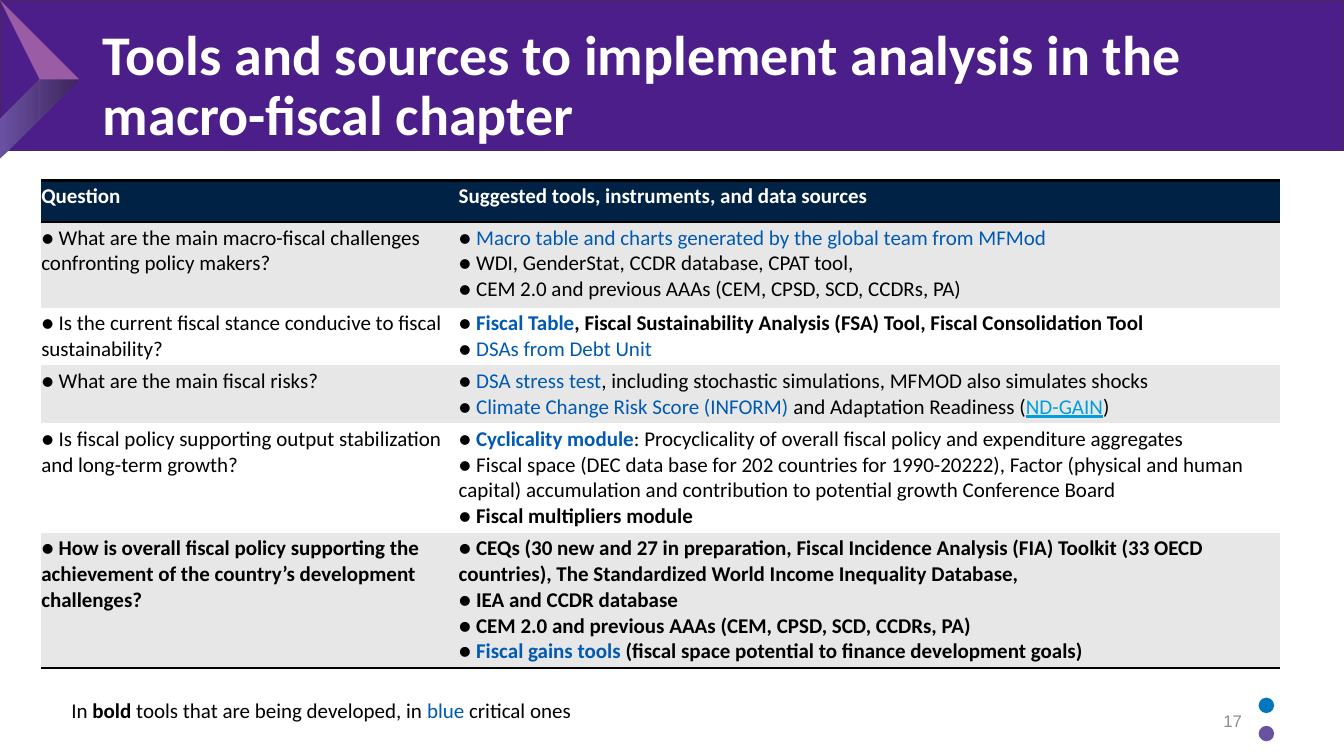
from lxml.etree import SubElement
from pptx import Presentation
from pptx.dml.color import RGBColor as Rgb
from pptx.enum.shapes import MSO_SHAPE as Preset
from pptx.enum.text import MSO_ANCHOR as Anchor, MSO_AUTO_SIZE as AutoSize, PP_ALIGN as Align
from pptx.oxml.ns import qn
from pptx.util import Cm, Pt

# Content: a paragraph is a list of (text, style) spans
TITLE = "Tools and sources to implement analysis in the macro-fiscal chapter"
PAGE_NUMBER = "17"
HEADER = ("Question", "Suggested tools, instruments, and data sources")
ROWS = [
    ([[("● What are the main macro-fiscal challenges confronting policy makers?", "")]],
     [[("● ", ""), ("Macro table and charts generated by the global team from MFMod", "blue")],
      [("● WDI, GenderStat, CCDR database, CPAT tool,", "")],
      [("● CEM 2.0 and previous AAAs (CEM, CPSD, SCD, CCDRs, PA)", "")]]),
    ([[("● Is the current fiscal stance conducive to fiscal sustainability?", "")]],
     [[("● ", ""), ("Fiscal Table", "bold blue"),
       (", Fiscal Sustainability Analysis (FSA) Tool, Fiscal Consolidation Tool", "bold")],
      [("● ", ""), ("DSAs from Debt Unit", "blue")]]),
    ([[("● What are the main fiscal risks?", "")]],
     [[("● ", ""), ("DSA stress test", "blue"),
       (", including stochastic simulations, MFMOD also simulates shocks", "")],
      [("● ", ""), ("Climate Change Risk Score (INFORM) ", "blue"),
       ("and Adaptation Readiness (", ""), ("ND-GAIN", "underlined cyan"), (")", "")]]),
    ([[("● Is fiscal policy supporting output stabilization and long-term growth?", "")]],
     [[("● ", ""), ("Cyclicality module", "bold blue"),
       (": Procyclicality of overall fiscal policy and expenditure aggregates", "")],
      [("● Fiscal space (DEC data base for 202 countries for 1990-20222), Factor (physical and "
        "human capital) accumulation and contribution to potential growth Conference Board", "")],
      [("● ", ""), ("Fiscal multipliers module", "bold")]]),
    ([[("● How is overall fiscal policy supporting the achievement of the country’s "
        "development challenges?", "bold")]],
     [[("● CEQs (30 new and 27 in preparation, Fiscal Incidence Analysis (FIA) Toolkit (33 OECD "
        "countries), The Standardized World Income Inequality Database,", "bold")],
      [("● IEA and CCDR database", "bold")],
      [("● CEM 2.0 and previous AAAs (CEM, CPSD, SCD, CCDRs, PA)", "bold")],
      [("● ", "bold"), ("Fiscal gains tools ", "bold blue"),
       ("(fiscal space potential to finance development goals)", "bold")]]),
]
LEGEND = [("In ", ""), ("bold ", "bold"), ("tools that are being developed, in ", ""),
          ("blue", "blue"), (" critical ones", "")]


class Theme:
    font, number_font = "Calibri", "Arial"
    title_size, text_size, number_size = 40, 15, 12
    banner, banner_line = "4C1E89", "49275B"
    chevron, fold_light, fold_dark = "995CA5", "6A51A2", "3D245B"
    dots = ("0076BC", "6A51A2")
    header, band, plain = "002244", "E7E7E7", "FFFFFF"
    rule, gray = "000000", "8C8C8C"
    text = {"black": "000000", "white": "FFFFFF", "blue": "0059B2", "cyan": "009FDA"}


# Geometry in centimetres; outlines mix line points and cubic curves
COLUMNS = (10.52, 20.7)
ROW_HEIGHTS = (1.04, 2.16, 1.46, 1.45, 2.76, 3.4)
FOLD = [(0.38, 3.78), (1.68, 2.08), (1.78, 1.96, 1.75, 1.75, 1.6, 1.65), (1.52, 1.57),
        (1.4, 1.47, 1.19, 1.5, 1.07, 1.63), (-0.23, 3.33),
        (-0.33, 3.45, -0.3, 3.66, -0.15, 3.78), (-0.08, 3.84),
        (0.08, 3.94, 0.28, 3.91, 0.38, 3.78)]
CHEVRON = [(0.91, 1.85), (-0.18, 0.43), (-0.3, 0.25, -0.28, 0.03, -0.13, -0.1),
           (0.05, -0.23, 0.28, -0.18, 0.41, -0.03), (1.68, 1.63),
           (1.75, 1.73, 1.78, 1.9, 1.7, 2.03), (1.68, 2.1, 1.09, 2.82, 1.09, 2.82),
           (1.09, 2.82, 1.17, 2.59, 1.14, 2.36), (1.14, 2.13, 0.91, 1.85, 0.91, 1.85)]


def add_span(para, text, color, size=Theme.text_size, font=Theme.font, bold=False, underline=False):
    span = para.add_run()
    span.text = text
    span.font.name, span.font.size = font, Pt(size)
    span.font.bold, span.font.underline = bold, underline
    span.font.color.rgb = Rgb.from_string(color)


def add_styled(para, spans):
    for text, style in spans:
        words = style.split()
        color = next((Theme.text[word] for word in words if word in Theme.text), Theme.text["black"])
        add_span(para, text, color, bold="bold" in words, underline="underlined" in words)


def paint(target, color):
    target.fill.solid()
    target.fill.fore_color.rgb = Rgb.from_string(color)


def add_plain_shape(page, preset, left, top, width, height, color):
    shape = page.shapes.add_shape(preset, Cm(left), Cm(top), Cm(width), Cm(height))
    shape.shadow.inherit = False
    paint(shape, color)
    shape.line.fill.background()
    return shape


def add_outline(page, outline, steps=8):
    points = []
    for segment in outline:
        if len(segment) == 2:
            points.append(segment)
            continue
        start, (a, b, c, d, e, f) = points[-1], segment
        for step in range(1, steps + 1):
            t = step / steps
            weights = ((1 - t) ** 3, 3 * t * (1 - t) ** 2, 3 * t * t * (1 - t), t ** 3)
            points.append(tuple(sum(w * v for w, v in zip(weights, values))
                                for values in ((start[0], a, c, e), (start[1], b, d, f))))
    scale = Cm(1)
    builder = page.shapes.build_freeform(*points[0], scale=scale)
    builder.add_line_segments(points[1:], close=True)
    shape = builder.convert_to_shape()
    shape.shadow.inherit = False
    shape.line.fill.background()
    return shape


def add_text_box(page, left, top, width, height):
    box = page.shapes.add_textbox(Cm(left), Cm(top), Cm(width), Cm(height))
    box.text_frame.word_wrap = True
    return box.text_frame


def set_borders(cell, ruled):
    properties = cell._tc.get_or_add_tcPr()
    for side in "LRTB":
        line = SubElement(properties, qn("a:ln" + side), w=str(Pt(2) if side in ruled else 0))
        if side in ruled:
            SubElement(SubElement(line, qn("a:solidFill")), qn("a:srgbClr"), val=Theme.rule)
        else:
            SubElement(line, qn("a:noFill"))


def add_tools_table(page):
    rows = [tuple([[(text, "bold white")]] for text in HEADER)] + ROWS
    frame = page.shapes.add_table(len(rows), len(COLUMNS), Cm(1.04), Cm(4.55),
                                  Cm(sum(COLUMNS)), Cm(sum(ROW_HEIGHTS)))
    table = frame.table
    table.horz_banding = False
    for column, width in zip(table.columns, COLUMNS):
        column.width = Cm(width)
    for index, (row, height) in enumerate(zip(rows, ROW_HEIGHTS)):
        table.rows[index].height = Cm(height)
        ruled = {0: "TB", 1: "T", len(rows) - 1: "B"}.get(index, "")
        fill = Theme.header if index == 0 else (Theme.plain, Theme.band)[index % 2]
        for cell, paragraphs in zip(table.rows[index].cells, row):
            set_borders(cell, ruled)
            paint(cell, fill)
            cell.margin_left = 0
            cell.margin_right = Cm(0.08 if index else 0)
            cell.margin_top = cell.margin_bottom = Cm(0.08)
            for position, spans in enumerate(paragraphs):
                text = cell.text_frame
                add_styled(text.add_paragraph() if position else text.paragraphs[0], spans)


def main():
    deck = Presentation()
    deck.slide_width, deck.slide_height = Cm(33.87), Cm(19.05)
    page = deck.slides.add_slide(deck.slide_layouts[5])

    # Banner with folded chevron
    banner = add_plain_shape(page, Preset.RECTANGLE, 0, 0, 33.87, 3.79, Theme.banner)
    banner.line.color.rgb = Rgb.from_string(Theme.banner_line)
    banner.line.width = Pt(1)
    fold = add_outline(page, FOLD)
    fold.fill.gradient()
    fold.fill.gradient_angle = 0
    for stop, color in zip(fold.fill.gradient_stops, (Theme.fold_light, Theme.fold_dark)):
        stop.color.rgb = Rgb.from_string(color)
    paint(add_outline(page, CHEVRON), Theme.chevron)

    # Title, brought in front of the banner
    title = page.shapes.title
    page.shapes.element.append(title.element)
    title.left, title.top, title.width, title.height = Cm(2.34), Cm(0.61), Cm(29.21), Cm(3.18)
    title.text_frame.auto_size = AutoSize.NONE
    title.text_frame.word_wrap = True
    title.text_frame.vertical_anchor = Anchor.MIDDLE
    para = title.text_frame.paragraphs[0]
    para.alignment, para.line_spacing = Align.LEFT, 0.9
    add_span(para, TITLE, Theme.text["white"], Theme.title_size, bold=True)

    add_tools_table(page)

    # Legend, page number and dots
    add_styled(add_text_box(page, 1.55, 17.45, 13.94, 0.89).paragraphs[0], LEGEND)
    number = add_text_box(page, 23.93, 17.65, 7.62, 1.02)
    number.vertical_anchor = Anchor.MIDDLE
    number.paragraphs[0].alignment = Align.RIGHT
    add_span(number.paragraphs[0], PAGE_NUMBER, Theme.gray, Theme.number_size, Theme.number_font)
    for index, color in enumerate(Theme.dots):
        add_plain_shape(page, Preset.OVAL, 31.72, 17.58 + 0.71 * index, 0.39, 0.39, color)

    deck.save("out.pptx")


if __name__ == "__main__":
    main()
